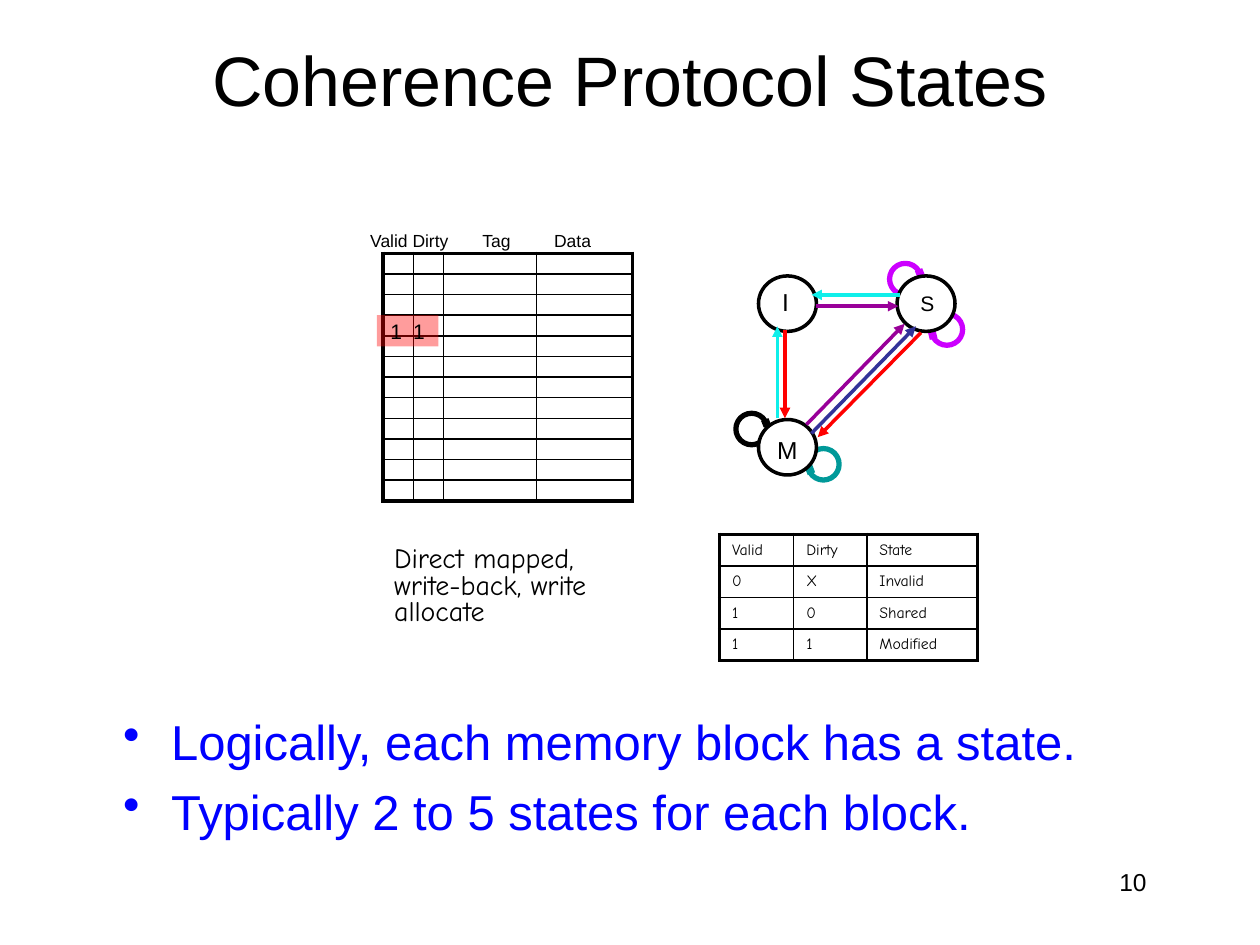
from typing import NamedTuple

from lxml import etree
from pptx import Presentation
from pptx.dml.color import RGBColor
from pptx.enum import shapes, text
from pptx.oxml import ns
from pptx.util import Inches, Pt

COLORS = {
    "black": "000000", "white": "FFFFFF", "blue": "0000FF", "red": "FF0000",
    "teal": "009999", "magenta": "CC00FF", "purple": "990099",
    "cyan": "0FEFEA", "navy": "333399",
}
LEFT, CENTER, RIGHT = text.PP_ALIGN.LEFT, text.PP_ALIGN.CENTER, text.PP_ALIGN.RIGHT
OUTER, INNER = 2.25, 1  # border widths in points


class Label(NamedTuple):
    lines: tuple
    box: tuple
    size: float
    align: text.PP_ALIGN = LEFT
    color: str = "black"
    font: str = "Arial"
    wrap: bool = True


class Loop(NamedTuple):
    corner: tuple
    color: str
    start: tuple
    end: tuple
    filled: bool = False


class State(NamedTuple):
    corner: tuple
    label: Label
    loops: tuple = ()


class Transition(NamedTuple):
    start: tuple
    end: tuple
    color: str


STATES = (
    State((6.02, 3.33), Label(("M",), (5.97, 3.4, 0.56, 0.33), 14, CENTER), (
        Loop((5.84, 3.28), "black", (6.09, 3.38), (6.07, 3.33)),
        Loop((6.41, 3.56), "teal", (6.41, 3.68), (6.44, 3.76)))),
    State((7.12, 2.19), Label(("S",), (7.15, 2.26, 0.42, 0.3), 12, CENTER), (
        Loop((7.39, 2.49), "magenta", (7.39, 2.61), (7.41, 2.69)),
        Loop((7.06, 2.09), "magenta", (7.31, 2.19), (7.29, 2.14), True))),
    State((6.02, 2.19), Label(("I",), (6.11, 2.23, 0.25, 0.33), 14, wrap=False)),
)
TRANSITIONS = (
    Transition((6.48, 2.43), (7.13, 2.43), "purple"),
    Transition((6.23, 2.62), (6.23, 3.32), "red"),
    Transition((6.4, 3.37), (7.18, 2.57), "purple"),
    Transition((7.31, 2.64), (6.49, 3.47), "red"),
    Transition((7.14, 2.34), (6.44, 2.34), "cyan"),
    Transition((6.17, 3.32), (6.17, 2.59), "cyan"),
    Transition((6.44, 3.44), (7.27, 2.59), "navy"),
)
STATE_ROWS = (
    ("Valid", "Dirty", "State"),
    ("0", "X", "Invalid"),
    ("1", "0", "Shared"),
    ("1", "1", "Modified"),
)


def rgb(name: str) -> RGBColor:
    return RGBColor.from_string(COLORS[name])


def style_font(font, size: float, color: str = "black", name: str = "Arial") -> None:
    for attribute, value in {"size": Pt(size), "name": name, "bold": False}.items():
        setattr(font, attribute, value)
    font.color.rgb = rgb(color)


def add_label(slide, label: Label):
    frame = slide.shapes.add_textbox(*map(Inches, label.box)).text_frame
    frame.word_wrap = label.wrap
    frame.text = "\n".join(label.lines)
    for paragraph in frame.paragraphs:
        paragraph.alignment = label.align
        for run in paragraph.runs:
            style_font(run.font, label.size, label.color, label.font)
    return frame


def add_bullets(frame) -> None:
    for paragraph in frame.paragraphs:
        properties = paragraph._p.get_or_add_pPr()
        properties.set("marL", str(Inches(0.38)))
        properties.set("indent", str(-Inches(0.38)))
        etree.SubElement(properties, ns.qn("a:buChar")).set("char", "•")
    for paragraph in frame.paragraphs[1:]:
        paragraph.space_before = Pt(6)


def add_tabs(frame, *stops: float) -> None:
    tabs = etree.SubElement(frame.paragraphs[0]._p.get_or_add_pPr(), ns.qn("a:tabLst"))
    for stop in stops:
        etree.SubElement(tabs, ns.qn("a:tab"), pos=str(Inches(stop)), algn="l")


def add_circle(slide, corner: tuple, size: tuple, color: str, width: float, filled: bool) -> None:
    circle = slide.shapes.add_shape(shapes.MSO_SHAPE.OVAL, *map(Inches, corner + size))
    circle.shadow.inherit = False
    if filled:
        circle.fill.solid()
        circle.fill.fore_color.rgb = rgb("white")
    else:
        circle.fill.background()
    circle.line.color.rgb = rgb(color)
    circle.line.width = Pt(width)


def add_line(slide, start: tuple, end: tuple, color: str, width: float, arrow: bool = False) -> None:
    line = slide.shapes.add_connector(
        shapes.MSO_CONNECTOR.STRAIGHT, *map(Inches, start + end))
    line.line.color.rgb = rgb(color)
    line.line.width = Pt(width)
    if arrow:
        etree.SubElement(line.line._get_or_add_ln(), ns.qn("a:tailEnd")).set("type", "triangle")
    etree.SubElement(line._element.spPr, ns.qn("a:effectLst"))


def add_state(slide, state: State) -> None:
    for loop in state.loops:
        add_circle(slide, loop.corner, (0.25, 0.25), loop.color, 3, loop.filled)
        add_line(slide, loop.start, loop.end, loop.color, 4.5)
    add_circle(slide, state.corner, (0.46, 0.44), "black", 2, True)
    add_label(slide, state.label)


def set_borders(cell, widths: dict) -> None:
    properties = cell._tc.get_or_add_tcPr()
    for index, (side, width) in enumerate(widths.items()):
        border = etree.Element(ns.qn(f"a:ln{side}"), w=str(Pt(width)))
        fill = etree.SubElement(border, ns.qn("a:solidFill"))
        etree.SubElement(fill, ns.qn("a:srgbClr")).set("val", COLORS["black"])
        properties.insert(index, border)


def add_grid(slide, corner: tuple, widths: tuple, row_height: float, rows: tuple) -> None:
    """Table with thin inner borders and a thick outer frame."""
    size = (sum(widths), row_height * len(rows))
    table = slide.shapes.add_table(
        len(rows), len(widths), *map(Inches, corner + size)).table
    table.first_row = table.horz_banding = False
    for column, width in zip(table.columns, widths):
        column.width = Inches(width)
    last_row, last_column = len(rows) - 1, len(widths) - 1
    for r, row in enumerate(rows):
        table.rows[r].height = Inches(row_height)
        for c, content in enumerate(row):
            cell = table.cell(r, c)
            cell.fill.background()
            cell.vertical_anchor = text.MSO_ANCHOR.MIDDLE
            cell.margin_top = cell.margin_bottom = 0
            paragraph = cell.text_frame.paragraphs[0]
            if content:
                run = paragraph.add_run()
                run.text = content
                style_font(run.font, 9, name="Comic Neue")
            else:
                etree.SubElement(paragraph._p, ns.qn("a:endParaRPr")).set("sz", "600")
            edges = {"L": c == 0, "R": c == last_column, "T": r == 0, "B": r == last_row}
            set_borders(cell, {side: OUTER if outer else INNER for side, outer in edges.items()})


def add_highlight(slide) -> None:
    highlight = slide.shapes.add_shape(
        shapes.MSO_SHAPE.RECTANGLE, *map(Inches, (2.99, 2.5, 0.49, 0.25)))
    highlight.shadow.inherit = False
    highlight.line.fill.background()
    highlight.fill.solid()
    highlight.fill.fore_color.rgb = rgb("red")
    color = highlight._element.spPr.find(".//" + ns.qn("a:srgbClr"))
    etree.SubElement(color, ns.qn("a:alpha")).set("val", "39000")


def main() -> None:
    deck = Presentation()
    deck.slide_width, deck.slide_height = Inches(10), Inches(7.5)
    slide = deck.slides.add_slide(deck.slide_layouts[5])

    title = slide.shapes.title
    place = {"left": 0.75, "top": 0, "width": 8.5, "height": 1.25}
    for attribute, value in place.items():
        setattr(title, attribute, Inches(value))
    title.text = "Coherence Protocol States"
    style_font(title.text_frame.paragraphs[0].runs[0].font, 40)

    add_bullets(add_label(slide, Label(
        ("Logically, each memory block has a state.", "Typically 2 to 5 states for each block."),
        (0.88, 5.6, 8.5, 1.36), 28, color="blue")))
    page_number = add_label(slide, Label(("10",), (7.17, 6.83, 2.08, 0.5), 14, RIGHT))
    page_number.margin_right = Inches(0.15)

    add_grid(slide, (3.04, 2.01), (0.24, 0.24, 0.74, 0.76), 1.97 / 12, (("",) * 4,) * 12)
    add_tabs(add_label(slide, Label(("Valid Dirty\tTag\tData",), (2.84, 1.78, 2.3, 0.27), 10)), 0.89, 1.46)
    policy = add_label(slide, Label(("Direct mapped, write-back, write allocate",),
                                    (3.03, 4.29, 1.84, 0.84), 16, font="Comic Neue"))
    policy.paragraphs[0].line_spacing = 0.8
    add_highlight(slide)
    for left in (3, 3.18):
        add_label(slide, Label(("1",), (left, 2.48, 0.29, 0.3), 12, wrap=False))

    for state in STATES:
        add_state(slide, state)
    for transition in TRANSITIONS:
        add_line(slide, *transition, width=2, arrow=True)
    add_grid(slide, (5.71, 4.24), (0.59, 0.58, 0.88), 0.25, STATE_ROWS)
    deck.save("out.pptx")


if __name__ == "__main__":
    main()
